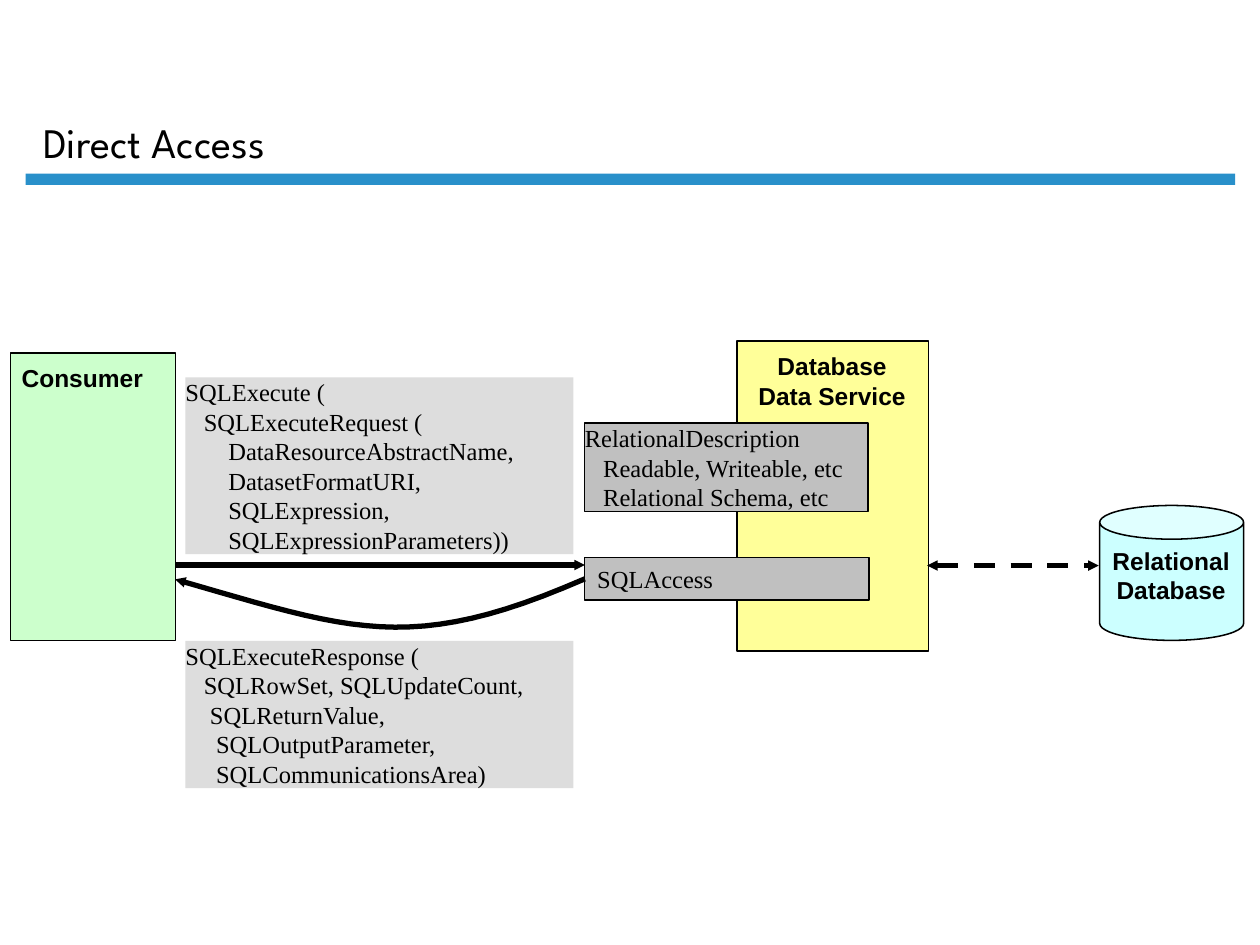
from dataclasses import dataclass
from typing import Optional

from pptx import Presentation
from pptx.dml.color import RGBColor
from pptx.enum.dml import MSO_LINE
from pptx.enum.shapes import MSO_CONNECTOR, MSO_SHAPE
from pptx.enum.text import MSO_ANCHOR, PP_ALIGN
from pptx.oxml.ns import qn
from pptx.util import Cm, Pt
from lxml import etree

RECT, CAN = MSO_SHAPE.RECTANGLE, MSO_SHAPE.CAN
STRAIGHT = MSO_CONNECTOR.STRAIGHT
DASH = MSO_LINE.DASH
TOP, BOTTOM = MSO_ANCHOR.TOP, MSO_ANCHOR.BOTTOM
LEFT, CENTER = PP_ALIGN.LEFT, PP_ALIGN.CENTER

COLORS = {
    "black": "000000",
    "rule": "2990CA",
    "consumer": "CCFFCC",
    "message": "DDDDDD",
    "service": "FFFF99",
    "interface": "C0C0C0",
    "database": "CCFFFF",
}
FONTS = {
    "title": {"name": "League Spartan", "size": Pt(24), "bold": False},
    "label": {"name": "Arial", "size": Pt(14), "bold": True},
    "code": {"name": "Times New Roman", "size": Pt(14), "bold": False},
}
NO_INSETS = (0, 0)
USUAL_INSETS = (0.25, 0.13)
ARROW_WIDTH = 3
CURVE_STEPS = 24


@dataclass
class Box:
    left: float
    top: float
    width: float
    height: float
    fill: str
    outline: float = 0
    text: str = ""
    insets: tuple = NO_INSETS
    preset: int = RECT


@dataclass
class Label:
    left: float
    top: float
    width: float
    height: float
    text: str
    font: str = "label"
    align: int = CENTER
    anchor: int = TOP
    insets: tuple = NO_INSETS


@dataclass
class Arrow:
    start: float
    end: float
    y: float
    dash: Optional[int] = None
    ends: tuple = ("tailEnd",)


REQUEST = """SQLExecute (
   SQLExecuteRequest (
       DataResourceAbstractName,
       DatasetFormatURI,
       SQLExpression,
       SQLExpressionParameters))"""
RESPONSE = """SQLExecuteResponse (
   SQLRowSet, SQLUpdateCount,
    SQLReturnValue,
     SQLOutputParameter,
     SQLCommunicationsArea)"""
DESCRIPTION = """RelationalDescription
   Readable, Writeable, etc
   Relational Schema, etc"""

BOXES = [
    Box(0.52, 3.5, 24.38, 0.23, "rule"),
    Box(0.21, 7.12, 3.33, 5.79, "consumer", 0.88),
    Box(3.74, 7.61, 7.82, 3.56, "message", text=REQUEST),
    Box(3.74, 12.92, 7.82, 2.97, "message", text=RESPONSE),
    Box(14.86, 6.87, 3.86, 6.25, "service", 0.88),
    Box(22.17, 10.19, 2.9, 2.72, "database", 0.88, preset=CAN),
    Box(11.79, 8.53, 5.71, 1.78, "interface", 0.75, DESCRIPTION),
    Box(11.79, 11.24, 5.73, 0.86, "interface", 0.75, "SQLAccess", USUAL_INSETS),
]
LABELS = [
    Label(0.62, 0.32, 21.74, 3.18, "Direct Access", "title", LEFT, BOTTOM, USUAL_INSETS),
    Label(0.24, 7.32, 2.84, 0.58, "Consumer"),
    Label(15.09, 7.08, 3.37, 1.19, "Database\nData Service"),
    Label(22.23, 11, 2.76, 1.19, "Relational\nDatabase"),
]
ARROWS = [
    Arrow(3.53, 11.79, 11.39),
    Arrow(18.69, 22.15, 11.4, DASH, ("headEnd", "tailEnd")),
]
RESPONSE_CURVE = [(11.79, 11.67), (8.26, 13.21), (7.09, 12.7), (3.53, 11.68)]


def rgb(color: str) -> RGBColor:
    return RGBColor.from_string(COLORS[color])


def write(shape, text: str, font: str, align: int, anchor: int, insets: tuple) -> None:
    frame = shape.text_frame
    side, edge = (Cm(inset) for inset in insets)
    layout = {
        "margin_left": side, "margin_right": side,
        "margin_top": edge, "margin_bottom": edge,
        "word_wrap": True, "vertical_anchor": anchor,
    }
    for name, value in layout.items():
        setattr(frame, name, value)
    for index, line in enumerate(text.split("\n")):
        paragraph = frame.paragraphs[0] if index == 0 else frame.add_paragraph()
        paragraph.alignment = align
        run = paragraph.add_run()
        run.text = line
        for name, value in FONTS[font].items():
            setattr(run.font, name, value)
        run.font.color.rgb = rgb("black")


def draw_box(shapes, box: Box) -> None:
    shape = shapes.add_shape(box.preset, Cm(box.left), Cm(box.top), Cm(box.width), Cm(box.height))
    shape.shadow.inherit = False
    shape.fill.solid()
    shape.fill.fore_color.rgb = rgb(box.fill)
    if box.outline:
        shape.line.color.rgb = rgb("black")
        shape.line.width = Pt(box.outline)
    else:
        shape.line.fill.background()
    if box.text:
        write(shape, box.text, "code", LEFT, TOP, box.insets)


def draw_label(shapes, label: Label) -> None:
    shape = shapes.add_textbox(Cm(label.left), Cm(label.top), Cm(label.width), Cm(label.height))
    write(shape, label.text, label.font, label.align, label.anchor, label.insets)


def style_arrow(shape, ends: tuple, dash: Optional[int] = None) -> None:
    shape.line.color.rgb = rgb("black")
    shape.line.width = Pt(ARROW_WIDTH)
    if dash is not None:
        shape.line.dash_style = dash
    properties = shape._element.spPr
    outline = properties.find(qn("a:ln"))
    for end in ends:
        etree.SubElement(outline, qn(f"a:{end}"), type="triangle", w="sm", len="sm")
    etree.SubElement(properties, qn("a:effectLst"))


def draw_arrow(shapes, arrow: Arrow) -> None:
    connector = shapes.add_connector(STRAIGHT, Cm(arrow.start), Cm(arrow.y), Cm(arrow.end), Cm(arrow.y))
    style_arrow(connector, arrow.ends, arrow.dash)


def bezier(controls: list, t: float) -> tuple:
    weights = ((1 - t) ** 3, 3 * t * (1 - t) ** 2, 3 * t * t * (1 - t), t ** 3)
    return tuple(Cm(sum(w * c for w, c in zip(weights, axis))) for axis in zip(*controls))


def draw_curve(shapes, controls: list) -> None:
    start, *rest = [bezier(controls, step / CURVE_STEPS) for step in range(CURVE_STEPS + 1)]
    builder = shapes.build_freeform(*start)
    builder.add_line_segments(rest, close=False)
    curve = builder.convert_to_shape()
    curve.fill.background()
    style_arrow(curve, ("tailEnd",))


def main() -> None:
    deck = Presentation()
    deck.slide_width, deck.slide_height = Cm(25.4), Cm(19.05)
    shapes = deck.slides.add_slide(deck.slide_layouts[6]).shapes
    for box in BOXES:
        draw_box(shapes, box)
    for label in LABELS:
        draw_label(shapes, label)
    for arrow in ARROWS:
        draw_arrow(shapes, arrow)
    draw_curve(shapes, RESPONSE_CURVE)
    deck.save("out.pptx")


if __name__ == "__main__":
    main()
